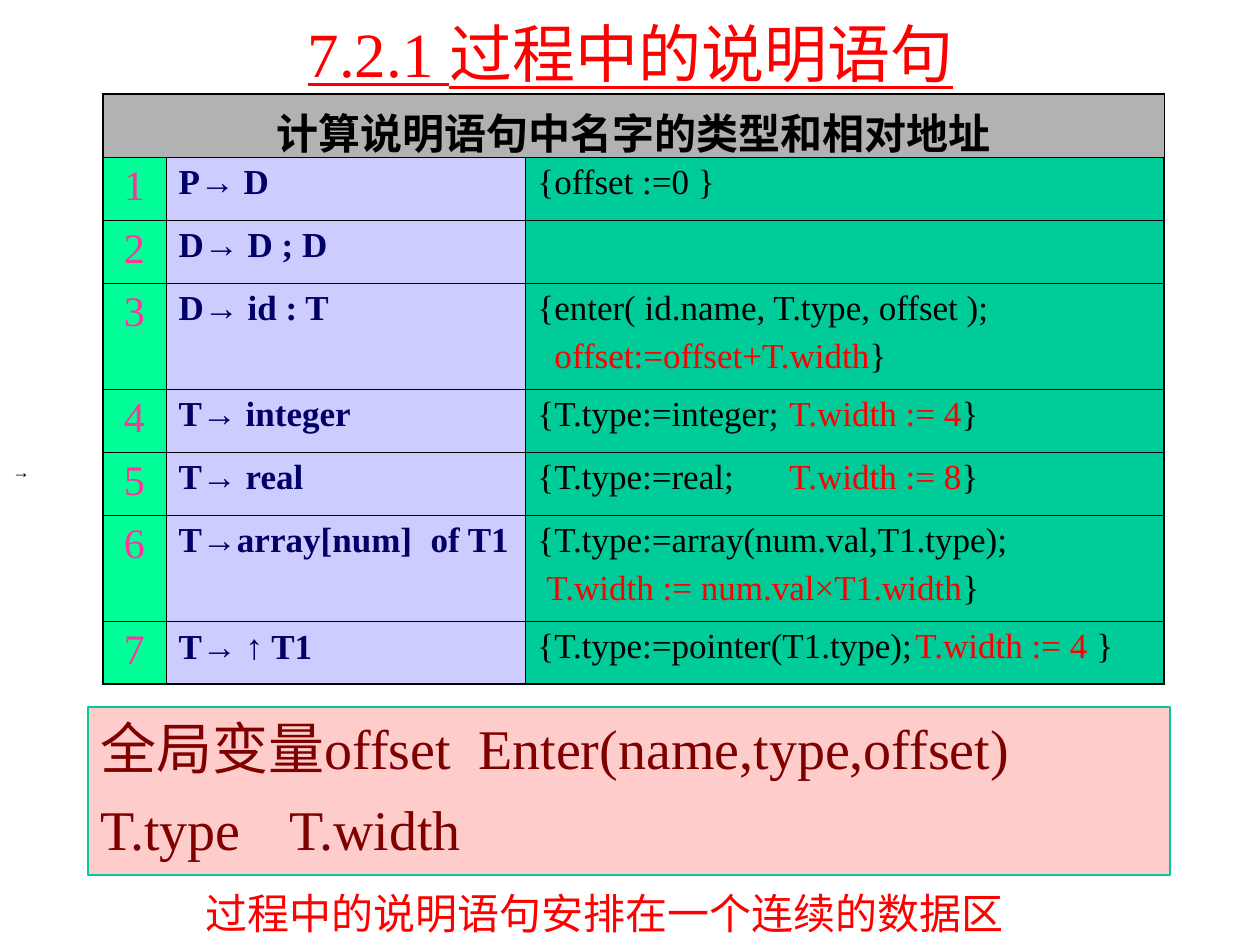
"""Build the slide on declaration statements in procedures and their translation rules."""
from lxml.etree import SubElement
from pptx import Presentation
from pptx.dml.color import RGBColor
from pptx.enum.shapes import MSO_SHAPE
from pptx.enum.text import MSO_ANCHOR, PP_ALIGN
from pptx.oxml.ns import qn
from pptx.util import Pt

PX = 7257
BLACK, RED, NAVY, MAROON = "000000", "FF0000", "000066", "800000"
PINK, GREEN, LILAC, TEAL, GRAY = "FF3399", "00FF99", "CCCCFF", "00CC99", "B2B2B2"


def color(code):
    return RGBColor.from_string(code)


def write(para, spans, size, code, bold=False, align=PP_ALIGN.LEFT, tab=0, indent=0):
    properties = para._p.get_or_add_pPr()
    properties.set("marL", str(indent * PX))
    properties.set("indent", "0")
    if tab:
        stops = SubElement(properties, qn("a:tabLst"))
        SubElement(stops, qn("a:tab"), pos=str(tab * PX), algn="l")
    para.alignment = align
    para.font.name = "Times New Roman"
    para.font.size = Pt(size)
    para.font.bold = bold
    para.font.color.rgb = color(code)
    for text, change in spans:
        span = para.add_run()
        span.text = text
        if change == "Arial":
            span.font.name = change
        elif change:
            span.font.color.rgb = color(change)


deck = Presentation()
deck.slide_width, deck.slide_height = 1260 * PX, 945 * PX
page = deck.slides.add_slide(deck.slide_layouts[6])

labels = [
    (95, 21, 1071, 63, "7.2.1 过程中的说明语句", 36, RED, PP_ALIGN.CENTER),
    (0, 455, 1260, 37, "→", 10, BLACK, PP_ALIGN.LEFT),
    (193, 881, 1022, 63, "过程中的说明语句安排在一个连续的数据区", 24, RED, PP_ALIGN.LEFT),
]
for left, top, width, height, text, size, code, align in labels:
    box = page.shapes.add_textbox(left * PX, top * PX, width * PX, height * PX)
    box.text_frame.word_wrap = True
    para = box.text_frame.paragraphs[0]
    write(para, [(text, None)], size, code, align=align)
    if align == PP_ALIGN.CENTER:
        box.text_frame.vertical_anchor = MSO_ANCHOR.MIDDLE
        para.font.underline = True

panel = page.shapes.add_shape(MSO_SHAPE.RECTANGLE, 88 * PX, 707 * PX, 1082 * PX, 168 * PX)
panel.shadow.inherit = False
panel.fill.solid()
panel.fill.fore_color.rgb = color("FFCCCC")
panel.line.color.rgb = color(TEAL)
panel.line.width = Pt(0.75)
panel.text_frame.vertical_anchor = MSO_ANCHOR.TOP
panel_lines = [("全局变量offset\tEnter(name,type,offset)", 519), ("T.type\tT.width", 503)]
for number, (text, tab) in enumerate(panel_lines):
    para = panel.text_frame.add_paragraph() if number else panel.text_frame.paragraphs[0]
    write(para, [(text, None)], 32, MAROON, tab=tab)
    if number:
        para.space_before = Pt(8)

rules = [
    ([("P→ D", None)], [[("{offset :=0 }", None)]], 0),
    ([("D→ D ; D", None)], [], 0),
    ([("D→ id : T", None)],
     [[("{enter( id.name, T.type, offset );", None)],
      [("offset:=offset+T.width", RED), ("}", None)]], 17),
    ([("T→ integer", None)],
     [[("{T.type:=integer;\t", None), ("T.width := 4", RED), ("}", None)]], 276),
    ([("T→ real", None)],
     [[("{T.type:=real;\t", None), ("T.width := 8", RED), ("}", None)]], 275),
    ([("T→array[num]\tof T1", None)],
     [[("{T.type:=array(num.val,T1.type);", None)],
      [("T.width := num.val×T1.width", RED), ("}", None)]], 9),
    ([("T→ ", None), ("↑", "Arial"), (" T1", None)],
     [[("{T.type:=pointer(T1.type);\t", None), ("T.width := 4 ", RED), ("}", None)]], 409),
]
row_count = len(rules) + 1
table = page.shapes.add_table(row_count, 3, 103 * PX, 94 * PX, 1061 * PX, 590 * PX).table
for column, width in zip(table.columns, (63, 359, 639)):
    column.width = width * PX
for row_number, row in enumerate(table.rows):
    row.height = (106 if row_number in (3, 6) else 63) * PX
    for column_number, cell in enumerate(row.cells):
        properties = cell._tc.get_or_add_tcPr()
        outer_edges = {
            "L": column_number == 0,
            "R": column_number == 2,
            "T": row_number == 0,
            "B": row_number == row_count - 1,
        }
        for side, outer in outer_edges.items():
            border = SubElement(properties, qn("a:ln" + side), w=str(Pt(1.08 if outer else 0.45)))
            SubElement(SubElement(border, qn("a:solidFill")), qn("a:srgbClr"), val=BLACK)
        cell.fill.solid()
        cell.fill.fore_color.rgb = color((GREEN, LILAC, TEAL)[column_number] if row_number else GRAY)

heading = table.cell(0, 0)
heading.merge(table.cell(0, 2))
write(heading.text_frame.paragraphs[0], [("计算说明语句中名字的类型和相对地址", None)],
      24, BLACK, bold=True, align=PP_ALIGN.CENTER)
for number, (production, actions, offset) in enumerate(rules, 1):
    index, grammar, action = [table.cell(number, column).text_frame for column in range(3)]
    write(index.paragraphs[0], [(str(number), None)], 24, PINK, align=PP_ALIGN.CENTER)
    write(grammar.paragraphs[0], production, 20, NAVY, bold=True, tab=251 if number == 6 else 0)
    for line, spans in enumerate(actions):
        para = action.add_paragraph() if line else action.paragraphs[0]
        write(para, spans, 20, BLACK, tab=offset if len(actions) == 1 else 0,
              indent=offset if line else 0)
        if line:
            para.space_before = Pt(5)

deck.save("out.pptx")
